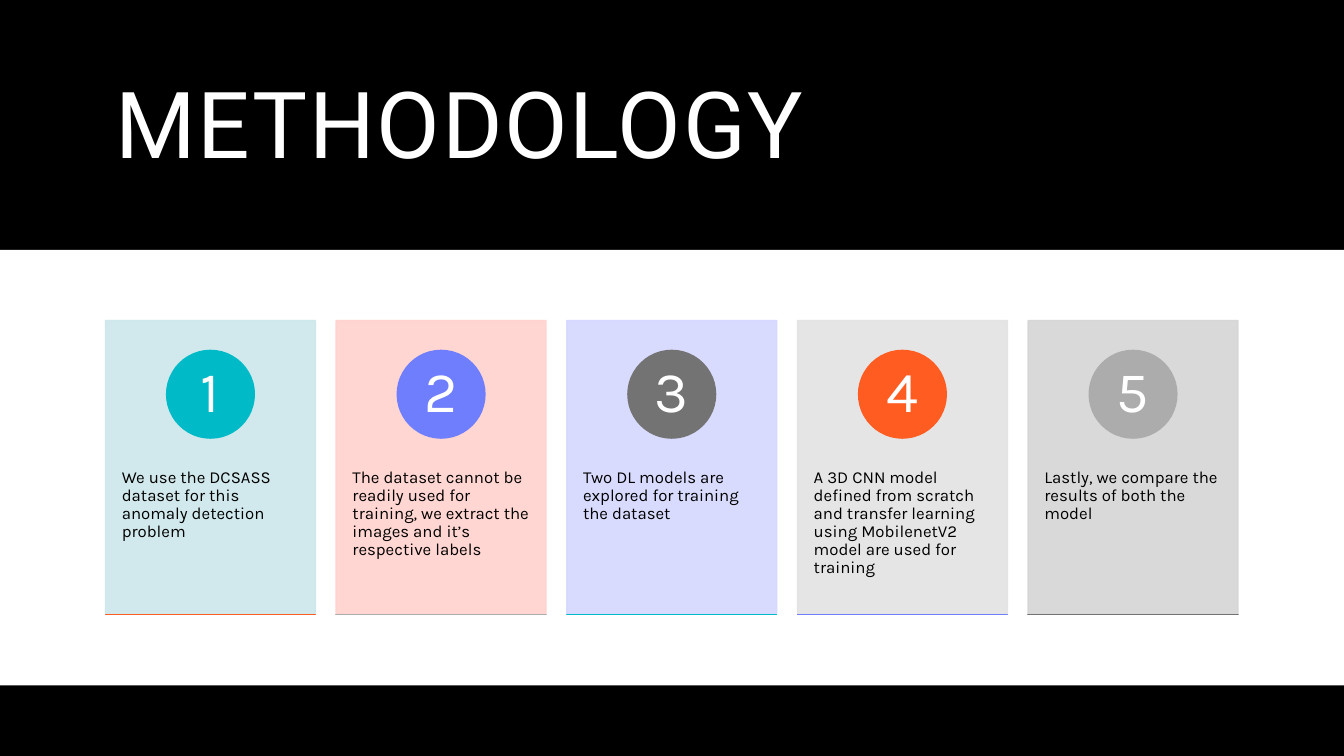
from lxml import etree
from pptx import Presentation
from pptx.dml.color import RGBColor
from pptx.enum import shapes, text
from pptx.oxml.ns import qn
from pptx.util import Cm, Pt

WIDE, HIGH = 33.87, 19.05
LEFT, SPAN = 2.66, 28.54
RECT, OVAL = shapes.MSO_SHAPE.RECTANGLE, shapes.MSO_SHAPE.OVAL
STEPS = [  # wording, card, disc, base line
    ("We use the DCSASS dataset for this anomaly detection problem",
     "CCE7EB", "00BAC7", "FF5C21"),
    ("The dataset cannot be readily used for training, we extract the images "
     "and it’s respective labels", "FFD2CD", "6F7EFD", "ACACAC"),
    ("Two DL models are explored for training the dataset",
     "D5D8FE", "737373", "00BAC7"),
    ("A 3D CNN model defined from scratch and transfer learning using "
     "MobilenetV2 model are used for training", "E3E3E3", "FF5C21", "6F7EFD"),
    ("Lastly, we compare the results of both the model",
     "D5D5D5", "ACACAC", "737373"),
]


def paint(form, color):
    form.solid()
    form.fore_color.rgb = RGBColor.from_string(color)


def block(parent, kind, box, color, edge=True):
    shape = parent.add_shape(kind, *map(Cm, box))
    shape.shadow.inherit = False
    paint(shape.fill, color)
    if edge:
        paint(shape.line.fill, color)
        shape.line.width = Pt(1)
    else:
        shape.line.fill.background()
    return shape


def fade(shape, percent):
    """Make fill and line partly see-through."""
    for color in shape._element.spPr.iter(qn("a:srgbClr")):
        etree.SubElement(color, qn("a:alpha")).set("val", str(percent * 1000))


def write(shape, words, size, font, color, align, anchor):
    frame = shape.text_frame
    frame.text = words
    frame.word_wrap = True
    frame.auto_size = text.MSO_AUTO_SIZE.NONE
    frame.vertical_anchor = anchor
    par = frame.paragraphs[0]
    par.alignment = align
    par.line_spacing = 0.9
    par.font.size = Pt(size)
    par.font.name = font
    par.font.color.rgb = RGBColor.from_string(color)


def label(parent, box, words, size, color, align, anchor, inset):
    shape = parent.add_textbox(*map(Cm, box))
    write(shape, words, size, "Karla", color, align, anchor)
    frame = shape.text_frame
    frame.margin_left = frame.margin_right = Cm(inset[0])
    frame.margin_top = frame.margin_bottom = Cm(inset[1])


def header(slide, box):
    title = slide.shapes.title
    title.left, title.top, title.width, title.height = map(Cm, box)
    write(title, "METHODOLOGY", 66, "Roboto", "FFFFFF",
          text.PP_ALIGN.LEFT, text.MSO_ANCHOR.MIDDLE)
    run = title.text_frame.paragraphs[0].runs[0]
    run._r.get_or_add_rPr().set("spc", "120")


def backdrop(slide):
    """Black slide with a white band, both behind the title."""
    black = block(slide.shapes, RECT, (0, 0, WIDE, HIGH), "000000", False)
    white = block(slide.shapes, RECT, (0, 6.3, WIDE, 10.97), "FFFFFF", False)
    title = slide.shapes.title._element
    for shape in (black, white):
        title.addprevious(shape._element)


def card(parent, box, number, step):
    left, top, width, height = box
    words, tint, tone, base = step
    disc, digit = 2.21, 1.57
    mid = left + width / 2
    fade(block(parent, RECT, box, tint), 90)
    label(parent, (left, top + 2.82, width, 4.43), words, 12, "000000",
          text.PP_ALIGN.LEFT, text.MSO_ANCHOR.TOP, (0.41, 0.91))
    block(parent, OVAL, (mid - disc / 2, top + 0.75, disc, disc), tone)
    label(parent, (mid - digit / 2, top + 1.07, digit, digit), str(number),
          41, "FFFFFF", text.PP_ALIGN.CENTER, text.MSO_ANCHOR.MIDDLE,
          (0.18, 0.03))
    block(parent, RECT, (left, top + height, width, 0.01), base)


def cards(slide, box):
    left, top, width, height = box
    wide = 5.29
    pitch = (width - wide) / (len(STEPS) - 1)
    group = slide.shapes.add_group_shape()
    for i, step in enumerate(STEPS):
        card(group.shapes, (left + i * pitch, top, wide, height), i + 1, step)


def main():
    deck = Presentation()
    deck.slide_width, deck.slide_height = Cm(WIDE), Cm(HIGH)
    slide = deck.slides.add_slide(deck.slide_layouts[5])
    header(slide, (LEFT, 0.89, SPAN, 4.72))
    backdrop(slide)
    cards(slide, (LEFT, 8.08, SPAN, 7.4))
    deck.save("out.pptx")


if __name__ == "__main__":
    main()
